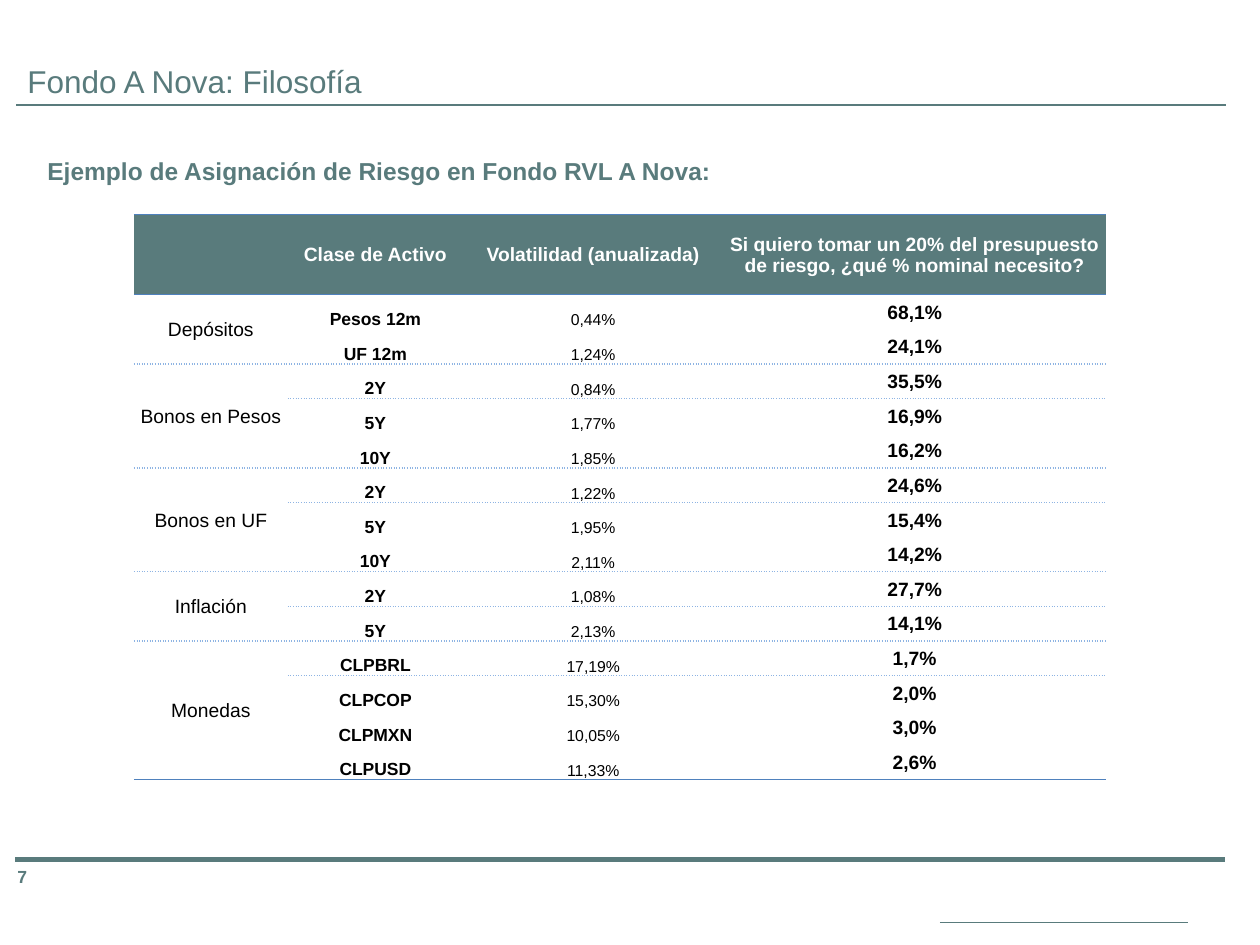
from typing import NamedTuple

from lxml.etree import SubElement
from pptx import Presentation
from pptx.dml.color import RGBColor
from pptx.enum.shapes import MSO_CONNECTOR
from pptx.enum.text import MSO_ANCHOR, PP_ALIGN
from pptx.oxml.ns import qn
from pptx.util import Pt

FONT = "Arial"
GREEN = "597B7C"
BLUE = "4F81BD"
PALE_BLUE = "8EB4E3"
WHITE = "FFFFFF"
BLACK = "000000"
NO_TABLE_STYLE = "{2D5ABB26-0587-4C30-8999-92F81FD0307C}"

HEADERS = [
    "",
    "Clase de Activo",
    "Volatilidad (anualizada)",
    "Si quiero tomar un 20% del presupuesto de riesgo, ¿qué % nominal necesito?",
]
COLUMN_WIDTHS = [88, 100, 149, 218.5]
HEADER_HEIGHT = 45.8
ROW_HEIGHT = 19.8


class Rule(NamedTuple):
    x1: float
    x2: float
    y: float
    width: float


class Label(NamedTuple):
    text: str
    left: float
    top: float
    width: float
    height: float
    size: float
    bold: bool = False
    anchor: MSO_ANCHOR = MSO_ANCHOR.MIDDLE
    wrap: bool = True


class CellStyle(NamedTuple):
    size: float
    bold: bool
    color: str = BLACK
    anchor: MSO_ANCHOR = MSO_ANCHOR.MIDDLE


class Edge(NamedTuple):
    color: str
    dash: str


class Asset(NamedTuple):
    name: str
    volatility: str
    nominal: str


class Group(NamedTuple):
    name: str
    assets: list[Asset]


SOLID = Edge(BLUE, "solid")
DOTTED = Edge(PALE_BLUE, "sysDot")
HEADER_STYLE = CellStyle(11, True, WHITE)
BODY_STYLES = [
    CellStyle(11, False),
    CellStyle(10, True, anchor=MSO_ANCHOR.BOTTOM),
    CellStyle(9, False, anchor=MSO_ANCHOR.BOTTOM),
    CellStyle(11, True),
]

RULES = [
    Rule(8.6, 699.8, 491, 2.75),
    Rule(537.1, 679, 527.1, 0.75),
    Rule(9.4, 700.6, 60.2, 1.25),
]
TITLE = Label("Fondo A Nova: Filosofía", 8.6, 31.8, 207.4, 29, 18, wrap=False)
PAGE_NUMBER = Label("7", 2.9, 486.4, 56, 29, 10, bold=True)
SUBTITLE = Label(
    "Ejemplo de Asignación de Riesgo en Fondo RVL A Nova:",
    20, 77, 676, 340, 14, bold=True, anchor=MSO_ANCHOR.TOP,
)

GROUPS = [
    Group("Depósitos", [
        Asset("Pesos 12m", "0,44%", "68,1%"),
        Asset("UF 12m", "1,24%", "24,1%"),
    ]),
    Group("Bonos en Pesos", [
        Asset("2Y", "0,84%", "35,5%"),
        Asset("5Y", "1,77%", "16,9%"),
        Asset("10Y", "1,85%", "16,2%"),
    ]),
    Group("Bonos en UF", [
        Asset("2Y", "1,22%", "24,6%"),
        Asset("5Y", "1,95%", "15,4%"),
        Asset("10Y", "2,11%", "14,2%"),
    ]),
    Group("Inflación", [
        Asset("2Y", "1,08%", "27,7%"),
        Asset("5Y", "2,13%", "14,1%"),
    ]),
    Group("Monedas", [
        Asset("CLPBRL", "17,19%", "1,7%"),
        Asset("CLPCOP", "15,30%", "2,0%"),
        Asset("CLPMXN", "10,05%", "3,0%"),
        Asset("CLPUSD", "11,33%", "2,6%"),
    ]),
]


def rgb(value: str) -> RGBColor:
    return RGBColor.from_string(value)


def set_font(p, size: float, bold: bool, color: str) -> None:
    p.font.name = FONT
    p.font.size = Pt(size)
    p.font.bold = bold
    p.font.color.rgb = rgb(color)


def add_rule(s, rule: Rule) -> None:
    line = s.shapes.add_connector(
        MSO_CONNECTOR.STRAIGHT, Pt(rule.x1), Pt(rule.y), Pt(rule.x2), Pt(rule.y)
    )
    line.line.color.rgb = rgb(GREEN)
    line.line.width = Pt(rule.width)
    SubElement(line._element.spPr, qn("a:effectLst"))


def add_label(s, label: Label):
    sp = s.shapes.add_textbox(
        Pt(label.left), Pt(label.top), Pt(label.width), Pt(label.height)
    )
    tf = sp.text_frame
    tf.word_wrap = label.wrap
    tf.vertical_anchor = label.anchor
    p = tf.paragraphs[0]
    p.text = label.text
    set_font(p, label.size, label.bold, GREEN)
    return p


def add_edge(cell, side: str, edge: Edge) -> None:
    ln = SubElement(cell._tc.get_or_add_tcPr(), qn(f"a:{side}"), w=str(Pt(1)))
    fill = SubElement(ln, qn("a:solidFill"))
    SubElement(fill, qn("a:srgbClr"), val=edge.color)
    SubElement(ln, qn("a:prstDash"), val=edge.dash)


def fill_cell(cell, text: str, style: CellStyle, top: Edge | None,
              bottom: Edge | None, fill: str | None = None) -> None:
    cell.margin_left = cell.margin_top = cell.margin_right = Pt(0.75)
    cell.margin_bottom = 0
    cell.vertical_anchor = style.anchor
    p = cell.text_frame.paragraphs[0]
    p.text = text
    p.alignment = PP_ALIGN.CENTER
    set_font(p, style.size, style.bold, style.color)
    for side, edge in (("lnT", top), ("lnB", bottom)):
        if edge:
            add_edge(cell, side, edge)
    if fill:
        cell.fill.solid()
        cell.fill.fore_color.rgb = rgb(fill)
    else:
        cell.fill.background()


def add_group(table, group: Group, first: int) -> None:
    last = first + len(group.assets) - 1
    start = None if group is GROUPS[0] else DOTTED
    end = SOLID if group is GROUPS[-1] else DOTTED
    for row, asset in enumerate(group.assets, first):
        texts = [group.name if row == first else "", *asset]
        for col, (text, style) in enumerate(zip(texts, BODY_STYLES)):
            top = start if row == first else None
            bottom = end if row == last or col == 0 else None
            fill_cell(table.cell(row, col), text, style, top, bottom)
    table.cell(first, 0).merge(table.cell(last, 0))


def add_risk_table(s) -> None:
    count = sum(len(group.assets) for group in GROUPS)
    frame = s.shapes.add_table(
        count + 1, len(HEADERS), Pt(76.5), Pt(122.6),
        Pt(sum(COLUMN_WIDTHS)), Pt(HEADER_HEIGHT + count * ROW_HEIGHT),
    )
    table = frame.table
    table.first_row = table.horz_banding = False
    table._tbl.tblPr.find(qn("a:tableStyleId")).text = NO_TABLE_STYLE
    for column, width in zip(table.columns, COLUMN_WIDTHS):
        column.width = Pt(width)
    for i, row in enumerate(table.rows):
        row.height = Pt(ROW_HEIGHT if i else HEADER_HEIGHT)
    for col, text in enumerate(HEADERS):
        fill_cell(table.cell(0, col), text, HEADER_STYLE, SOLID, SOLID, GREEN)
    first = 1
    for group in GROUPS:
        add_group(table, group, first)
        first += len(group.assets)


def main() -> None:
    prs = Presentation()
    prs.slide_width, prs.slide_height = Pt(720), Pt(540)
    s = prs.slides.add_slide(prs.slide_layouts[6])
    for rule in RULES:
        add_rule(s, rule)
    add_label(s, TITLE)
    add_label(s, PAGE_NUMBER)
    p = add_label(s, SUBTITLE)
    p.alignment = PP_ALIGN.JUSTIFY
    p.line_spacing = 1.5
    p.space_before = Pt(2.8)
    add_risk_table(s)
    prs.save("out.pptx")


if __name__ == "__main__":
    main()
